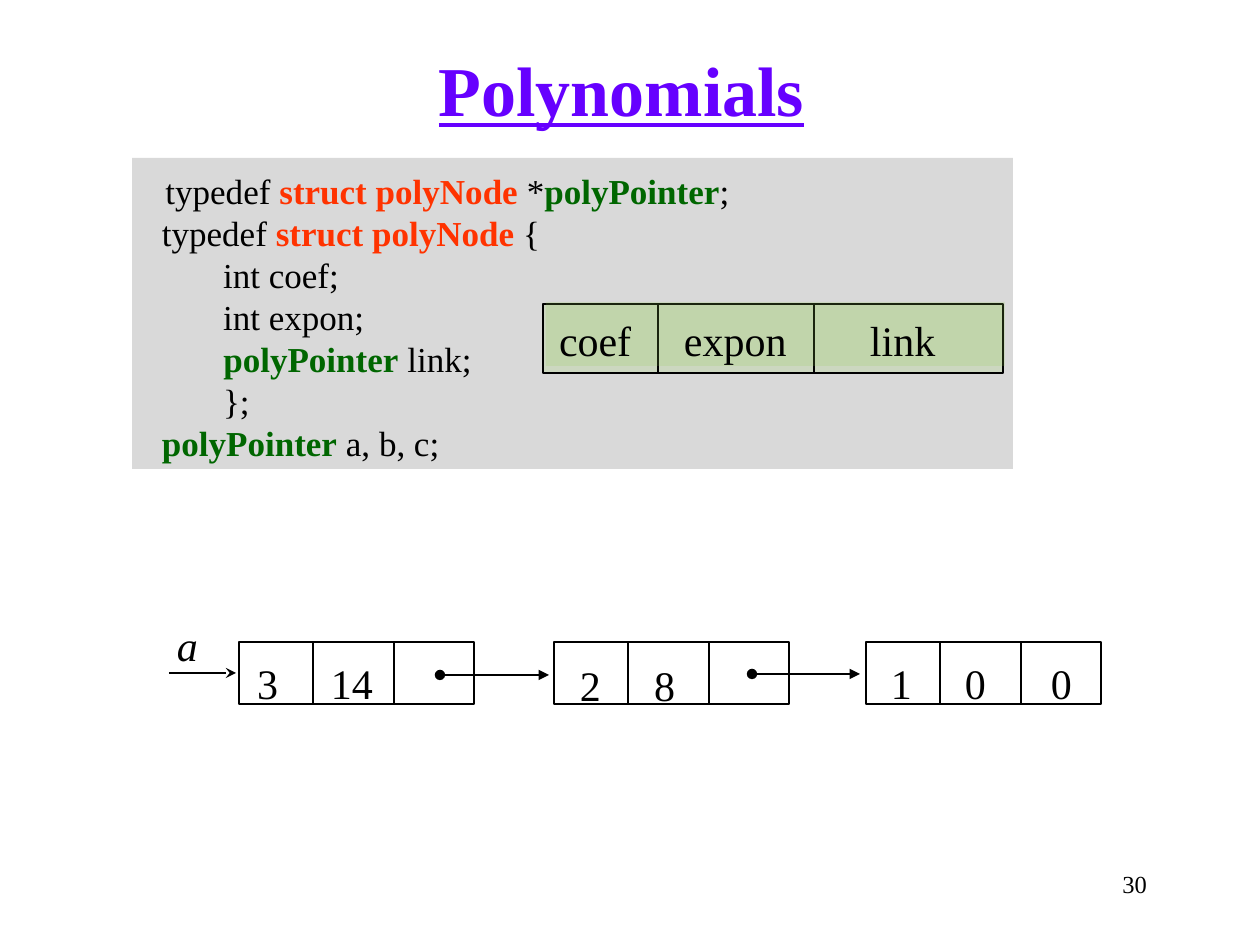
"""Build the Polynomials slide: node declaration and a three-node linked list."""
from dataclasses import dataclass

from lxml.etree import SubElement
from pptx import Presentation
from pptx.dml.color import RGBColor
from pptx.enum.shapes import MSO_CONNECTOR, MSO_SHAPE
from pptx.enum.text import MSO_ANCHOR, PP_ALIGN
from pptx.oxml.ns import qn
from pptx.util import Emu, Pt


@dataclass(frozen=True)
class Theme:
    ink: str = "000000"
    title: str = "6600FF"
    struct: str = "FF3300"
    pointer: str = "006600"
    panel: str = "D9D9D9"
    field: str = "92D050"
    field_alpha: int = 18
    serif: str = "Times New Roman"
    mono: str = "Courier New"
    title_size: int = 40
    label_size: int = 24
    code_size: int = 20
    page_size: int = 14
    line: int = 1


THEME = Theme()
PX = 914400 // 126

STRUCT = ("struct polyNode", THEME.struct)
POINTER = ("polyPointer", THEME.pointer)
CODE = [
    ["typedef ", STRUCT, " *", POINTER, ";"],
    ["  typedef ", STRUCT, " {"],
    ["         int coef;"],
    ["         int expon;"],
    ["         ", POINTER, " link;"],
    ["         };"],
    ["  ", POINTER, " a, b, c;"],
]
CODE_PANEL = (132, 158, 881, 311)

FIELDS = [("coef", 559), ("expon", 684), ("link", 870)]
FIELD_FRAME = (543, 304, 460, 69)
FIELD_TINT = (546, 302, 459, 64)
FIELD_DIVIDERS = [658, 814]

NODES = [
    (239, 658, [("3", 257), ("14", 331)]),
    (554, 660, [("2", 580), ("8", 654)]),
    (866, 658, [("1", 891), ("0", 965), ("0", 1051)]),
]
NODE_TOP, NODE_WIDTH, NODE_HEIGHT = 642, 235, 62
NODE_DIVIDERS = [74, 155]
LINKS = [(440, 549, 675), (752, 860, 674)]
HEAD_POINTER = (169, 236, 673)

presentation = Presentation()
presentation.slide_width = Emu(1260 * PX)
presentation.slide_height = Emu(945 * PX)
slide = presentation.slides.add_slide(presentation.slide_layouts[6])


def box(left, top, width, height, fill=None, alpha=None, outlined=True):
    rect = slide.shapes.add_shape(
        MSO_SHAPE.RECTANGLE, *(Emu(v * PX) for v in (left, top, width, height)))
    rect.shadow.inherit = False
    if fill:
        rect.fill.solid()
        rect.fill.fore_color.rgb = RGBColor.from_string(fill)
    else:
        rect.fill.background()
    if alpha:
        color = rect.fill._xPr.find(qn("a:solidFill"))[0]
        SubElement(color, qn("a:alpha"), val=str(alpha * 1000))
    if outlined:
        rect.line.color.rgb = RGBColor.from_string(THEME.ink)
        rect.line.width = Pt(THEME.line)
    else:
        rect.line.fill.background()
    return rect


def line(x1, y1, x2, y2, head=None, tail=None):
    stroke = slide.shapes.add_connector(
        MSO_CONNECTOR.STRAIGHT, *(Emu(v * PX) for v in (x1, y1, x2, y2)))
    stroke.line.color.rgb = RGBColor.from_string(THEME.ink)
    stroke.line.width = Pt(THEME.line)
    properties = stroke._element.spPr
    for tag, kind in (("a:headEnd", head), ("a:tailEnd", tail)):
        if kind:
            SubElement(properties.find(qn("a:ln")), qn(tag), type=kind)
    SubElement(properties, qn("a:effectLst"))


def add_run(paragraph, text, size, color=THEME.ink, font=THEME.serif,
            bold=False, italic=False, underline=False):
    run = paragraph.add_run()
    run.text = text
    run.font.name, run.font.size = font, Pt(size)
    run.font.bold, run.font.italic, run.font.underline = bold, italic, underline
    run.font.color.rgb = RGBColor.from_string(color)


def label(text, left, top, width=120, height=50, size=THEME.label_size,
          align=PP_ALIGN.LEFT, wrap=False, **style):
    holder = slide.shapes.add_textbox(
        *(Emu(v * PX) for v in (left, top, width, height)))
    frame = holder.text_frame
    frame.margin_left = frame.margin_right = 0
    frame.margin_top = frame.margin_bottom = 0
    frame.word_wrap = wrap
    frame.paragraphs[0].alignment = align
    add_run(frame.paragraphs[0], text, size, **style)


def cell_labels(cells, top):
    for text, left in cells:
        label(text, left, top, width=21 * len(text), wrap=False)


def code_panel():
    frame = box(*CODE_PANEL, fill=THEME.panel, outlined=False).text_frame
    frame.vertical_anchor = MSO_ANCHOR.TOP
    frame.margin_top = Emu(11 * PX)
    frame.margin_bottom = 0
    frame.word_wrap = True
    for number, parts in enumerate(CODE):
        paragraph = frame.add_paragraph() if number else frame.paragraphs[0]
        paragraph.alignment = PP_ALIGN.LEFT
        paragraph.line_spacing = Pt(24)
        if number == 0:
            add_run(paragraph, " ", THEME.code_size, font=THEME.mono)
        for part in parts:
            if isinstance(part, tuple):
                add_run(paragraph, part[0], THEME.code_size, part[1], bold=True)
            else:
                add_run(paragraph, part, THEME.code_size)


def field_record():
    _, top, _, height = FIELD_FRAME
    box(*FIELD_FRAME, fill=THEME.field, alpha=THEME.field_alpha)
    for x in FIELD_DIVIDERS:
        line(x, top, x, top + height)
    box(*FIELD_TINT, fill=THEME.field, alpha=THEME.field_alpha, outlined=False)
    cell_labels(FIELDS, 315)


def linked_list():
    for left, text_top, cells in NODES:
        box(left, NODE_TOP, NODE_WIDTH, NODE_HEIGHT)
        for offset in NODE_DIVIDERS:
            line(left + offset, NODE_TOP, left + offset, NODE_TOP + NODE_HEIGHT)
        cell_labels(cells, text_top)
    for start, end, y in LINKS:
        line(start, y, end, y, head="oval", tail="triangle")
    start, end, y = HEAD_POINTER
    line(start, y, end, y, tail="stealth")
    label("a", 177, 620, width=21, italic=True)


label("Polynomials", 333, 47, 577, 82, THEME.title_size, PP_ALIGN.CENTER,
      wrap=True, color=THEME.title, bold=True, underline=True)
code_panel()
field_record()
linked_list()
label("30", 897, 869, 250, 40, THEME.page_size, PP_ALIGN.RIGHT, wrap=True)
presentation.save("out.pptx")
